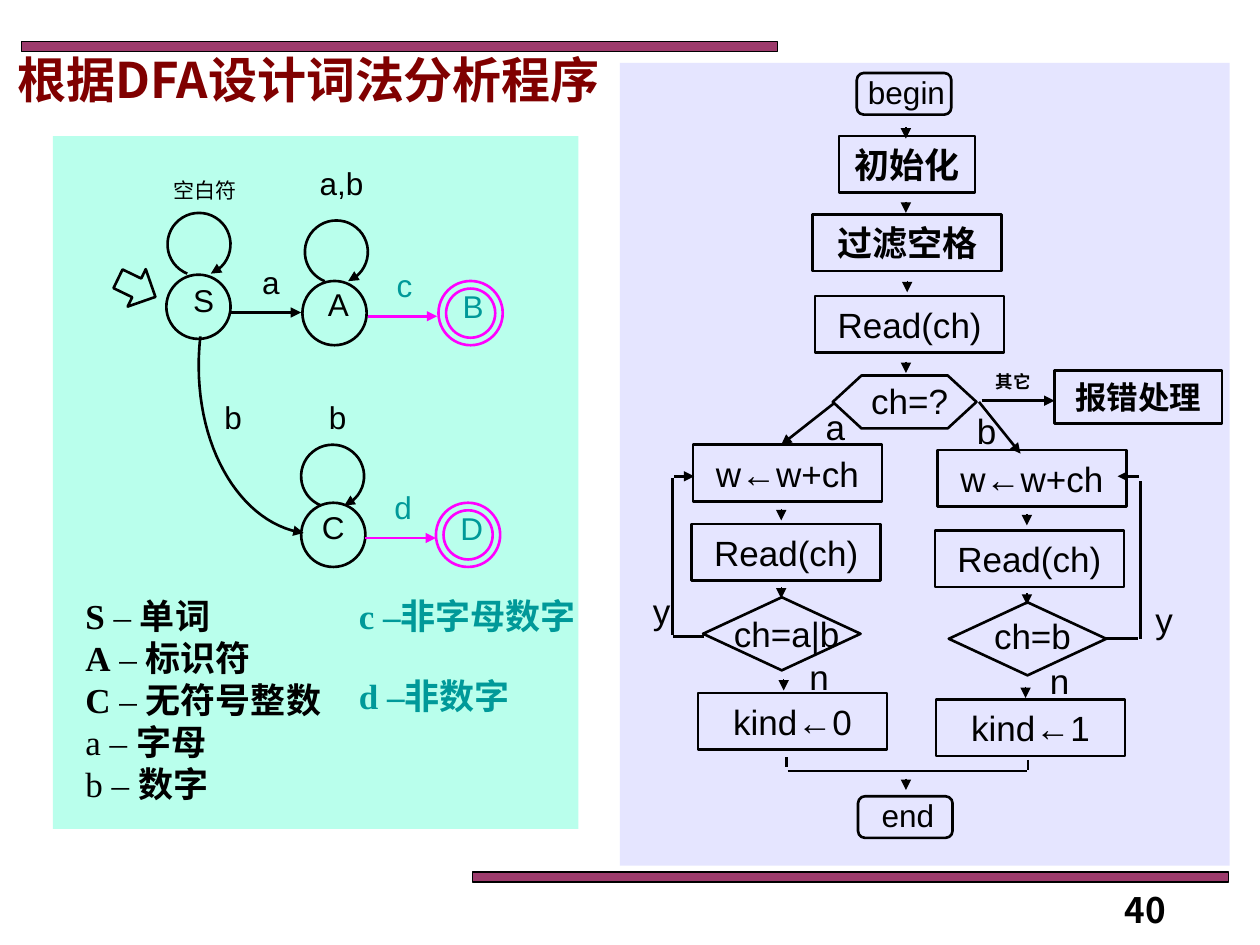
from math import cos, sin, radians

from lxml.etree import SubElement
from pptx import Presentation
from pptx.dml.color import RGBColor
from pptx.enum.shapes import MSO_CONNECTOR, MSO_SHAPE
from pptx.enum.text import MSO_ANCHOR, MSO_AUTO_SIZE, PP_ALIGN
from pptx.oxml.ns import qn
from pptx.util import Cm, Pt

INCH = 2.54
SANS, SERIF, HAN = "Arial", "Times New Roman", "Noto Sans CJK SC"
HUES = {"ink": "000000", "bar": "993366", "flow": "CCCCFF", "mint": "75FFDB",
        "pink": "FF00FF", "teal": "009999", "title": "800000"}


def size(*nums):
    return [Cm(num * INCH) for num in nums]


def hue(name):
    return RGBColor.from_string(HUES[name])


def write(frame, text, pts=20, color="ink", font=SANS, bold=False,
          align=PP_ALIGN.CENTER, anchor=MSO_ANCHOR.TOP, side=0, space=None, gap=0):
    frame.word_wrap = True
    frame.auto_size = MSO_AUTO_SIZE.NONE
    frame.vertical_anchor = anchor
    frame.margin_left = frame.margin_right = Cm(side)
    frame.margin_top = frame.margin_bottom = Cm(0.13)
    rows = [text] if isinstance(text, str) else text
    for num, row in enumerate(rows):
        para = frame.add_paragraph() if num else frame.paragraphs[0]
        para.alignment = align
        if space:
            para.line_spacing = space
        para.space_before = Pt(gap if num else 0)
        for part, heavy in [(row, bold)] if isinstance(row, str) else row:
            run = para.add_run()
            run.text = part
            run.font.size = Pt(pts)
            run.font.bold = heavy
            run.font.name = font
            run.font.color.rgb = hue(color)
            SubElement(run.font._element, qn("a:ea"), typeface=HAN)


def label(slide, text, x, y, w, h, **form):
    write(slide.shapes.add_textbox(*size(x, y, w, h)).text_frame, text, **form)


def stroke(line, color="ink", width=1.5, head=False):
    line.color.rgb = hue(color)
    line.width = Pt(width)
    if head:
        SubElement(line._get_or_add_ln(), qn("a:tailEnd"), type="triangle")


def shape(slide, kind, x, y, w, h, color="ink"):
    item = slide.shapes.add_shape(kind, *size(x, y, w, h))
    item.shadow.inherit = False
    item.fill.background()
    stroke(item.line, color)
    return item


def panel(slide, x, y, w, h, color, alpha, edge=False):
    item = shape(slide, MSO_SHAPE.RECTANGLE, x, y, w, h)
    item.fill.solid()
    item.fill.fore_color.rgb = hue(color)
    tint = item._element.spPr.find(qn("a:solidFill"))[0]
    SubElement(tint, qn("a:alpha"), val=str(alpha * 1000))
    if edge:
        item.line.width = Pt(0.75)
    else:
        item.line.fill.background()


def box(slide, text, x, y, w=1.5, h=0.45, **form):
    item = shape(slide, MSO_SHAPE.RECTANGLE, x, y, w, h)
    write(item.text_frame, text, anchor=MSO_ANCHOR.MIDDLE, **form)


def line(slide, x1, y1, x2, y2, color="ink", width=1.5, head=True):
    item = slide.shapes.add_connector(MSO_CONNECTOR.STRAIGHT, *size(x1, y1, x2, y2))
    stroke(item.line, color, width, head)
    SubElement(item._element.spPr, qn("a:effectLst"))


def curve(slide, points):
    first, *rest = [size(*point) for point in points]
    path = slide.shapes.build_freeform(*first)
    path.add_line_segments(rest, close=False)
    item = path.convert_to_shape()
    item.shadow.inherit = False
    item.fill.background()
    stroke(item.line, head=True)


def loop(slide, x, y):
    turns = [radians(112 + 316 * step / 40) for step in range(41)]
    curve(slide, [(x + 0.25 * cos(turn), y + 0.25 * sin(turn)) for turn in turns])


def bend(slide, *knots):
    points = []
    for step in range(31):
        t = step / 30
        parts = ((1 - t) ** 3, 3 * t * (1 - t) ** 2, 3 * t * t * (1 - t), t ** 3)
        points.append([sum(p * k[axis] for p, k in zip(parts, knots)) for axis in (0, 1)])
    curve(slide, points)


def state(slide, name, x, y, tx, ty, final=False):
    edge = "pink" if final else "ink"
    shape(slide, MSO_SHAPE.OVAL, x, y, 0.51, 0.51, edge)
    if final:
        shape(slide, MSO_SHAPE.OVAL, x + 0.06, y + 0.06, 0.39, 0.39, edge)
    label(slide, name, tx, ty, 0.45, 0.5, pts=18, color="teal" if final else "ink")


def graph(slide):
    for spot in (("S", 1.32, 2.18, 1.39, 2.18), ("A", 2.4, 2.23, 2.46, 2.21),
                 ("C", 2.39, 3.99, 2.42, 3.98)):
        state(slide, *spot)
    state(slide, "B", 3.48, 2.23, 3.53, 2.23, final=True)
    state(slide, "D", 3.46, 3.99, 3.52, 3.99, final=True)
    for x, y in ((1.58, 1.94), (2.67, 2), (2.64, 3.78)):
        loop(slide, x, y)
    bend(slide, (1.59, 2.67), (1.5, 3.5), (1.9, 4.16), (2.41, 4.23))
    line(slide, 1.83, 2.48, 2.39, 2.48)
    line(slide, 2.92, 2.51, 3.47, 2.51, "pink")
    line(slide, 2.9, 4.27, 3.46, 4.27, "pink")
    shape(slide, MSO_SHAPE.RIGHT_ARROW, 0.92, 2.12, 0.33, 0.33).rotation = 25.8
    shape_text = (("a", 1.9, 2.04, "ink"), ("a,b", 2.46, 1.25, "ink"),
                  ("b", 1.6, 3.11, "ink"), ("b", 2.43, 3.11, "ink"),
                  ("c", 2.96, 2.06, "teal"), ("d", 2.95, 3.82, "teal"))
    for text, x, y, color in shape_text:
        label(slide, text, x, y, 0.5, 0.5, pts=18, color=color)
    label(slide, "空白符", 1.25, 1.36, 0.75, 0.3, pts=12)


def legend(slide):
    form = {"font": SERIF, "align": PP_ALIGN.LEFT, "side": 0.25}
    names = (("S", "单词", True), ("A", "标识符", True), ("C", "无符号整数", True),
             ("a", "字母", False), ("b", "数字", False))
    rows = [[(key, heavy), (" – ", False), (name, True)] for key, name, heavy in names]
    label(slide, rows, 0.58, 4.67, 2.17, 1.77, **form)
    label(slide, ["c –非字母数字", "d –非数字"], 2.75, 4.5, 2.08, 1.27,
          color="teal", bold=True, space=1.5, gap=10, **form)


def branch(slide, steps, test, x, y, text_y):
    for text, left, top in steps:
        box(slide, text, left, top)
    shape(slide, MSO_SHAPE.FLOWCHART_DECISION, x, y, 1.25, 0.58)
    label(slide, test, x + 0.08, text_y, 1.17, 0.43)


def flow(slide):
    for text, x, y in (("begin", 6.8, 0.58), ("end", 6.81, 6.32)):
        shape(slide, MSO_SHAPE.ROUNDED_RECTANGLE, x, y, 0.75, 0.33)
        label(slide, text, x - 0.02, y - 0.05, 0.83, 0.4, pts=18)
    box(slide, "初始化", 6.66, 1.08, w=1.08, bold=True)
    box(slide, "过滤空格", 6.45, 1.7, bold=True)
    box(slide, "Read(ch)", 6.47, 2.35)
    shape(slide, MSO_SHAPE.FLOWCHART_PREPARATION, 6.61, 2.98, 1.14, 0.42)
    label(slide, "ch=?", 6.68, 2.96, 1.08, 0.43)
    box(slide, "报错处理", 8.37, 2.94, w=1.33, h=0.42, pts=18, bold=True)
    label(slide, "其它", 7.79, 2.89, 0.5, 0.27, pts=10, bold=True)
    branch(slide, (("w←w+ch", 5.5, 3.53), ("Read(ch)", 5.49, 4.16), ("kind←0", 5.54, 5.5)),
           "ch=a|b", 5.58, 4.74, 4.81)
    branch(slide, (("w←w+ch", 7.44, 3.57), ("Read(ch)", 7.42, 4.21), ("kind←1", 7.43, 5.55)),
           "ch=b", 7.53, 4.78, 4.83)
    for text, x, y in (("a", 6.42, 3.17), ("b", 7.62, 3.2), ("y", 5.04, 4.63),
                       ("y", 9.03, 4.7), ("n", 6.29, 5.15), ("n", 8.2, 5.18)):
        label(slide, text, x, y, 0.42, 0.43)
    for x, y in ((7.19, 1.01), (7.19, 1.6), (7.2, 2.23), (7.19, 2.87), (6.2, 4.04),
                 (8.15, 4.08), (6.2, 4.66), (8.15, 4.71), (6.22, 5.39), (8.14, 5.45),
                 (7.19, 6.18)):
        line(slide, x, y, x, y + 0.09, width=0.75)
    for ends in ((6.62, 3.2, 6.2, 3.53), (7.77, 3.19, 8.1, 3.6), (7.79, 3.18, 8.37, 3.18),
                 (5.35, 3.78, 5.51, 3.78), (9.04, 3.78, 8.87, 3.78)):
        line(slide, *ends)
    for ends in ((5.34, 5.05, 5.59, 5.05), (5.34, 3.79, 5.34, 5.04),
                 (8.78, 5.07, 9.03, 5.07), (9.05, 3.82, 9.05, 5.07),
                 (6.24, 6.01, 6.24, 6.09), (6.25, 6.12, 8.15, 6.12),
                 (8.16, 6.03, 8.16, 6.11)):
        line(slide, *ends, head=False)


def main():
    deck = Presentation()
    deck.slide_width, deck.slide_height = size(10, 7.5)
    slide = deck.slides.add_slide(deck.slide_layouts[5])
    panel(slide, 0.17, 0.33, 6, 0.08, "bar", 96, edge=True)
    panel(slide, 3.75, 6.92, 6, 0.08, "bar", 96, edge=True)
    panel(slide, 4.92, 0.5, 4.84, 6.37, "flow", 50)
    panel(slide, 0.42, 1.08, 4.17, 5.5, "mint", 50)
    title = slide.shapes.title
    title.left, title.top, title.width, title.height = size(0, 0.34, 4.9, 0.57)
    write(title.text_frame, "根据DFA设计词法分析程序", pts=28, color="title", font=HAN,
          bold=True, anchor=MSO_ANCHOR.MIDDLE)
    graph(slide)
    legend(slide)
    flow(slide)
    label(slide, "40", 8.83, 7, 0.83, 0.4, font=HAN, bold=True,
          align=PP_ALIGN.LEFT, side=0.25)
    deck.save("out.pptx")


if __name__ == "__main__":
    main()
